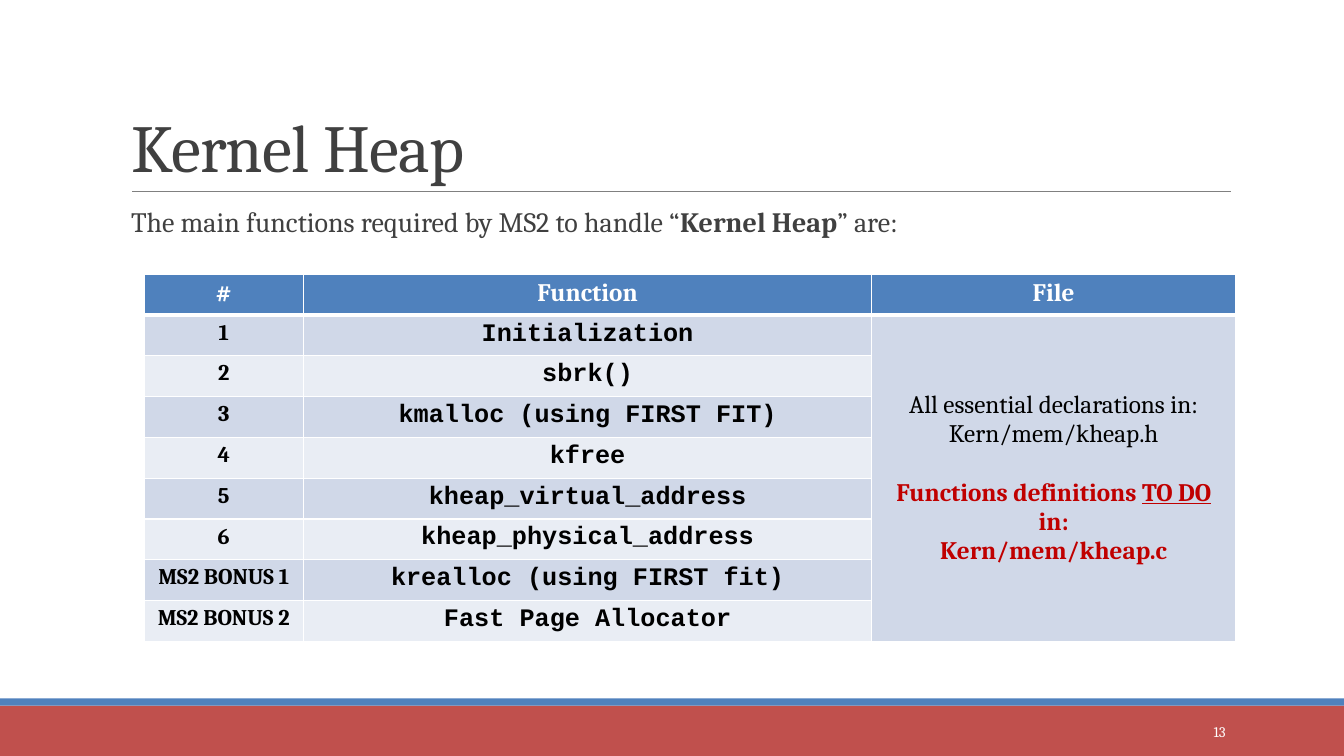
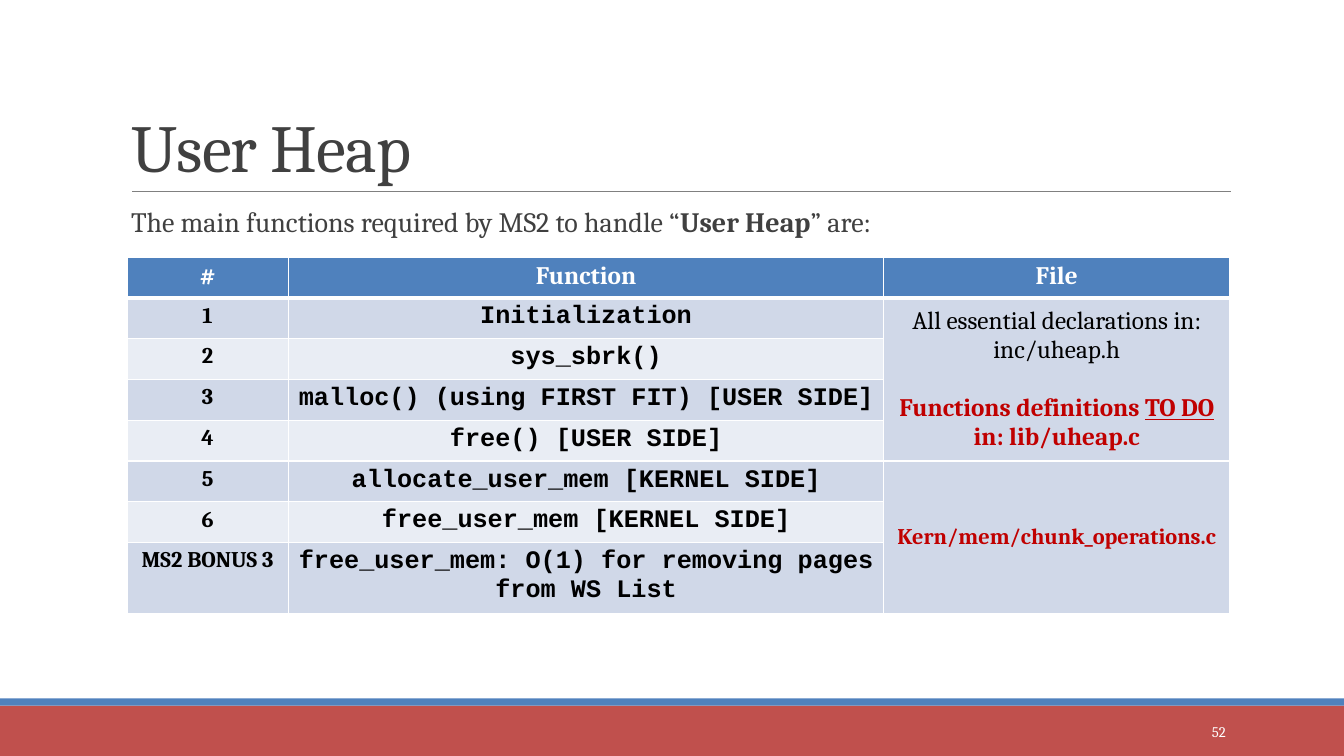
"""Build the two heap overview slides."""
import lxml.etree
import pptx
import pptx.dml.color
import pptx.enum.shapes
import pptx.enum.text
import pptx.oxml.ns
import pptx.util

EMU_PER_PX = 4572
PAGE_WIDTH, PAGE_HEIGHT = 2667, 1500
ROW_HEIGHT = 81
SERIF, MONO = "Cambria", "Courier New"
COLORS = {
    "white": "FFFFFF",
    "black": "000000",
    "text": "404040",
    "rule": "808080",
    "blue": "4F81BD",
    "red": "C0504D",
    "todo": "C00000",
    "odd": "D0D8E8",
    "even": "E9EDF4",
}
ALIGN = pptx.enum.text.PP_ALIGN
ANCHOR = pptx.enum.text.MSO_ANCHOR
TODO = {"color": "todo", "bold": True}

KERNEL_HEAP = {
    "title": "Kernel Heap",
    "number": "13",
    "origin": (286, 544),
    "columns": (316, 1128, 722),
    "rows": [
        ("1", "Initialization"),
        ("2", "sbrk()"),
        ("3", "kmalloc (using FIRST FIT)"),
        ("4", "kfree"),
        ("5", "kheap_virtual_address"),
        ("6", "kheap_physical_address"),
        ("MS2 BONUS 1", "krealloc (using FIRST fit)"),
        ("MS2 BONUS 2", "Fast Page Allocator"),
    ],
    "files": [
        (1, 8, [
            [("All essential declarations in:", {})],
            [("Kern/mem/kheap.h", {})],
            [("Functions definitions ", TODO), ("TO DO ", {**TODO, "underline": True}), ("in:", TODO)],
            [("Kern/mem/kheap.c", TODO)],
        ]),
    ],
    "gap_before": 2,
    "last_height": ROW_HEIGHT,
}
USER_HEAP = {
    "title": "User Heap",
    "number": "52",
    "origin": (252, 510),
    "columns": (320, 1182, 686),
    "rows": [
        ("1", "Initialization"),
        ("2", "sys_sbrk()"),
        ("3", "malloc() (using FIRST FIT) [USER SIDE]"),
        ("4", "free() [USER SIDE]"),
        ("5", "allocate_user_mem [KERNEL SIDE]"),
        ("6", "free_user_mem [KERNEL SIDE]"),
        ("MS2 BONUS 3", "free_user_mem: O(1) for removing pages from WS List"),
    ],
    "files": [
        (1, 4, [
            [("All essential declarations in: inc/uheap.h", {})],
            [("Functions definitions ", TODO), ("TO DO ", {**TODO, "underline": True}),
             ("in: lib/uheap.c", TODO)],
        ]),
        (5, 7, [[("Kern/mem/chunk_operations.c", {**TODO, "size": 16})]]),
    ],
    "gap_before": 1,
    "last_height": 131,
}


def px(*lengths):
    """Turn px lengths into a list of EMU."""
    return [pptx.util.Emu(length * EMU_PER_PX) for length in lengths]


def rgb(name):
    """Look up a named colour."""
    return pptx.dml.color.RGBColor.from_string(COLORS[name])


def write(para, text, size=18, color="black", font=SERIF, bold=False, underline=False):
    """Add one formatted span to a paragraph."""
    span = para.add_run()
    span.text = text
    span.font.size = pptx.util.Pt(size)
    span.font.color.rgb = rgb(color)
    span.font.name = font
    span.font.bold = bold
    span.font.underline = underline
    return span


def place(box, left, top, width, height):
    """Move and size a box."""
    box.left, box.top, box.width, box.height = px(left, top, width, height)


def add_band(page, top, height, color):
    """Draw a full-width band."""
    band = page.shapes.add_shape(
        pptx.enum.shapes.MSO_SHAPE.RECTANGLE, *px(0, top, PAGE_WIDTH, height))
    band.shadow.inherit = False
    band.fill.solid()
    band.fill.fore_color.rgb = rgb(color)
    band.line.fill.background()


def add_rule(page):
    """Draw the thin line under the title."""
    rule = page.shapes.add_connector(
        pptx.enum.shapes.MSO_CONNECTOR.STRAIGHT, *px(262, 380, 2442, 380))
    rule.line.color.rgb = rgb("rule")
    rule.line.width = pptx.util.Pt(0.5)
    lxml.etree.SubElement(rule.element.spPr, pptx.oxml.ns.qn("a:effectLst"))


def add_frame(page, number):
    """Draw the bands, rule and page number that all slides share."""
    add_band(page, 1400, 100, "red")
    add_band(page, 1386, 14, "blue")
    add_rule(page)
    box = page.shapes.add_textbox(*px(2166, 1412, 286, 80))
    box.text_frame.word_wrap = True
    box.text_frame.vertical_anchor = ANCHOR.MIDDLE
    para = box.text_frame.paragraphs[0]
    para.alignment = ALIGN.RIGHT
    write(para, number, size=10.5, color="white")


def fill_title(page, title):
    """Place and write the title."""
    box = page.shapes.title
    place(box, 240, 62, 2426, 318)
    frame = box.text_frame
    frame.auto_size = pptx.enum.text.MSO_AUTO_SIZE.NONE
    frame.vertical_anchor = ANCHOR.BOTTOM
    para = frame.paragraphs[0]
    para.alignment = ALIGN.LEFT
    para.line_spacing = 0.85
    span = write(para, title, size=48, color="text")
    span.font._element.set("spc", "-50")


def fill_body(page, subject):
    """Place and write the introductory sentence."""
    box = page.placeholders[1]
    place(box, 240, 404, 2200, 880)
    frame = box.text_frame
    frame.auto_size = pptx.enum.text.MSO_AUTO_SIZE.NONE
    frame.margin_left = frame.margin_right = 0
    para = frame.paragraphs[0]
    para.line_spacing = 0.9
    para.space_before = pptx.util.Pt(12)
    para.space_after = pptx.util.Pt(2)
    properties = para._p.get_or_add_pPr()
    properties.set("marL", str(px(20)[0]))
    properties.set("indent", "0")
    lxml.etree.SubElement(properties, pptx.oxml.ns.qn("a:buNone"))
    write(para, "The main functions required by MS2 to handle “", size=20, color="text")
    write(para, subject, size=20, color="text", bold=True)
    write(para, "” are:", size=20, color="text")


def style_cell(cell, fill, top=1, bottom=1):
    """Give a cell white borders and a solid fill."""
    properties = cell._tc.get_or_add_tcPr()
    for side, width in (("L", 1), ("R", 1), ("T", top), ("B", bottom)):
        line = lxml.etree.SubElement(
            properties, pptx.oxml.ns.qn("a:ln" + side), w=str(pptx.util.Pt(width)))
        solid = lxml.etree.SubElement(line, pptx.oxml.ns.qn("a:solidFill"))
        lxml.etree.SubElement(solid, pptx.oxml.ns.qn("a:srgbClr"), val=COLORS["white"])
    cell.fill.solid()
    cell.fill.fore_color.rgb = rgb(fill)


def write_cell(cell, text, **text_format):
    """Write one centred line in a cell."""
    para = cell.text_frame.paragraphs[0]
    para.alignment = ALIGN.CENTER
    write(para, text, bold=True, **text_format)


def write_files(table, first, last, paragraphs, gap_before):
    """Merge the file cells of some rows and write their paragraphs."""
    cell = table.cell(first, 2)
    cell.merge(table.cell(last, 2))
    cell.vertical_anchor = ANCHOR.MIDDLE
    frame = cell.text_frame
    for index, spans in enumerate(paragraphs):
        para = frame.add_paragraph() if index else frame.paragraphs[0]
        para.alignment = ALIGN.CENTER
        if index == gap_before:
            para.space_before = pptx.util.Pt(21)
        for text, text_format in spans:
            write(para, text, **text_format)


def add_function_table(page, content):
    """Add the table of functions and their files."""
    rows, columns = content["rows"], content["columns"]
    heights = [ROW_HEIGHT] * len(rows) + [content["last_height"]]
    table = page.shapes.add_table(
        len(heights), len(columns),
        *px(*content["origin"], sum(columns), sum(heights))).table
    for column, width in zip(table.columns, px(*columns)):
        column.width = width
    for row, height in zip(table.rows, px(*heights)):
        row.height = height
    for column, heading in enumerate(("#", "Function", "File")):
        style_cell(table.cell(0, column), "blue", bottom=3)
        write_cell(table.cell(0, column), heading, color="white")
    for index, (label, function) in enumerate(rows, 1):
        fill = "odd" if index % 2 else "even"
        for column in range(len(columns)):
            style_cell(table.cell(index, column), fill, top=3 if index == 1 else 1)
        write_cell(table.cell(index, 0), label, size=16)
        write_cell(table.cell(index, 1), function, font=MONO)
    for first, last, paragraphs in content["files"]:
        write_files(table, first, last, paragraphs, content["gap_before"])


def add_page(deck, content):
    """Add one complete slide."""
    page = deck.slides.add_slide(deck.slide_layouts[1])
    add_frame(page, content["number"])
    fill_title(page, content["title"])
    fill_body(page, content["title"])
    add_function_table(page, content)


def main():
    """Build and save the deck."""
    deck = pptx.Presentation()
    deck.slide_width, deck.slide_height = px(PAGE_WIDTH, PAGE_HEIGHT)
    for content in (KERNEL_HEAP, USER_HEAP):
        add_page(deck, content)
    deck.save("out.pptx")


if __name__ == "__main__":
    main()
